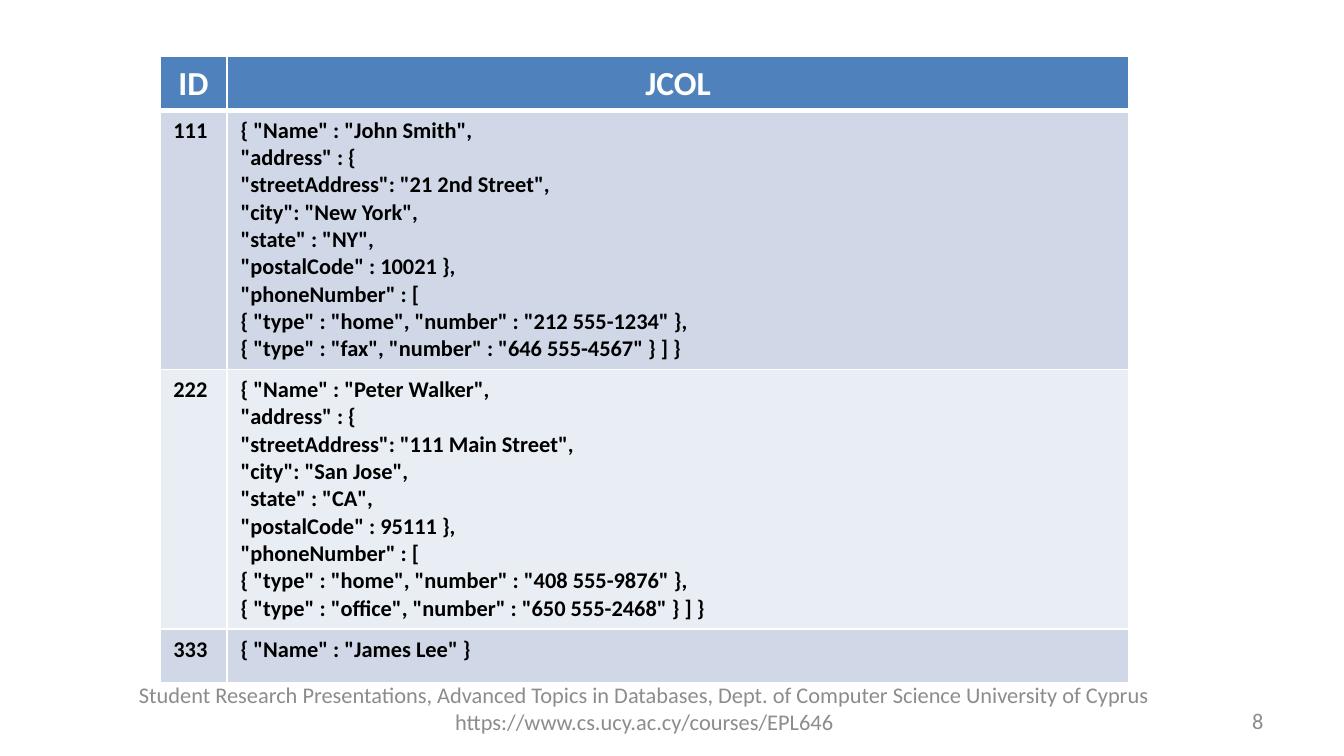
"""Build a slide with a table of JSON records stored by ID."""
import pptx
import pptx.util
import pptx.dml.color
import pptx.enum.text
import pptx.oxml
import pptx.oxml.ns

Inches, Pt = pptx.util.Inches, pptx.util.Pt
Align = pptx.enum.text.PP_ALIGN
Anchor = pptx.enum.text.MSO_ANCHOR

HEAD = ("ID", "JCOL")
ROWS = [
    ("111", """{ "Name" : "John Smith",
"address" : {
"streetAddress": "21 2nd Street",
"city": "New York",
"state" : "NY",
"postalCode" : 10021 },
"phoneNumber" : [
{ "type" : "home", "number" : "212 555-1234" },
{ "type" : "fax", "number" : "646 555-4567" } ] }"""),
    ("222", """{ "Name" : "Peter Walker",
"address" : {
"streetAddress": "111 Main Street",
"city": "San Jose",
"state" : "CA",
"postalCode" : 95111 },
"phoneNumber" : [
{ "type" : "home", "number" : "408 555-9876" },
{ "type" : "office", "number" : "650 555-2468" } ] }"""),
    ("333", '{ "Name" : "James Lee" }'),
]
NOTES = [
    ("Student Research Presentations, Advanced Topics in Databases, "
     "Dept. of Computer Science University of Cyprus "
     "https://www.cs.ucy.ac.cy/courses/EPL646",
     (0.5, 5.02, 8.59, 0.5), Align.CENTER),
    ("8", (7.17, 5.21, 2.33, 0.31), Align.RIGHT),
]
WIDTHS = (0.5, 6.71)
LEFT, TOP, SHORT, TALL = 1.19, 0.42, 0.4, 1.93
BLUE, WHITE, GREY, BLACK = "4F81BD", "FFFFFF", "8C8C8C", "000000"
BANDS = ("D0D8E8", "E9EDF4")


def tint(code):
    return pptx.dml.color.RGBColor.from_string(code)


def write(frame, text, size=12, color=BLACK, bold=False, align=Align.LEFT):
    frame.word_wrap = True
    for i, line in enumerate(text.split("\n")):
        para = frame.add_paragraph() if i else frame.paragraphs[0]
        para.alignment = align
        run = para.add_run()
        run.text = line
        font = run.font
        font.name, font.size, font.bold = "Calibri", Pt(size), bold
        font.color.rgb = tint(color)


def edge(cell, top, low):
    props = cell._tc.get_or_add_tcPr()
    sides = (("L", 1), ("R", 1), ("T", top), ("B", low))
    for i, (side, width) in enumerate(sides):
        line = pptx.oxml.parse_xml(
            f'<a:ln{side} {pptx.oxml.ns.nsdecls("a")} w="{Pt(width)}">'
            f'<a:solidFill><a:srgbClr val="{WHITE}"/></a:solidFill>'
            f'</a:ln{side}>')
        props.insert(i, line)


def main():
    deck = pptx.Presentation()
    deck.slide_width = Inches(10)
    deck.slide_height = deck.slide_width * 9 // 16
    slide = deck.slides.add_slide(deck.slide_layouts[6])

    for text, place, align in NOTES:
        box = slide.shapes.add_textbox(*map(Inches, place))
        box.text_frame.vertical_anchor = Anchor.MIDDLE
        write(box.text_frame, text, color=GREY, align=align)

    data = [HEAD] + ROWS
    highs = [TALL if "\n" in row[1] else SHORT for row in data]
    table = slide.shapes.add_table(
        len(data), len(WIDTHS), Inches(LEFT), Inches(TOP),
        Inches(sum(WIDTHS)), Inches(sum(highs))).table
    for col, width in zip(table.columns, WIDTHS):
        col.width = Inches(width)
    for r, row in enumerate(data):
        table.rows[r].height = Inches(highs[r])
        for c, text in enumerate(row):
            cell = table.cell(r, c)
            cell.fill.solid()
            cell.fill.fore_color.rgb = tint(BANDS[(r - 1) % 2] if r else BLUE)
            edge(cell, 3 if r == 1 else 1, 1 if r else 3)
            if r:
                write(cell.text_frame, text, bold=True)
            else:
                write(cell.text_frame, text, size=18, color=WHITE,
                      bold=True, align=Align.CENTER)
    deck.save("out.pptx")


if __name__ == "__main__":
    main()
